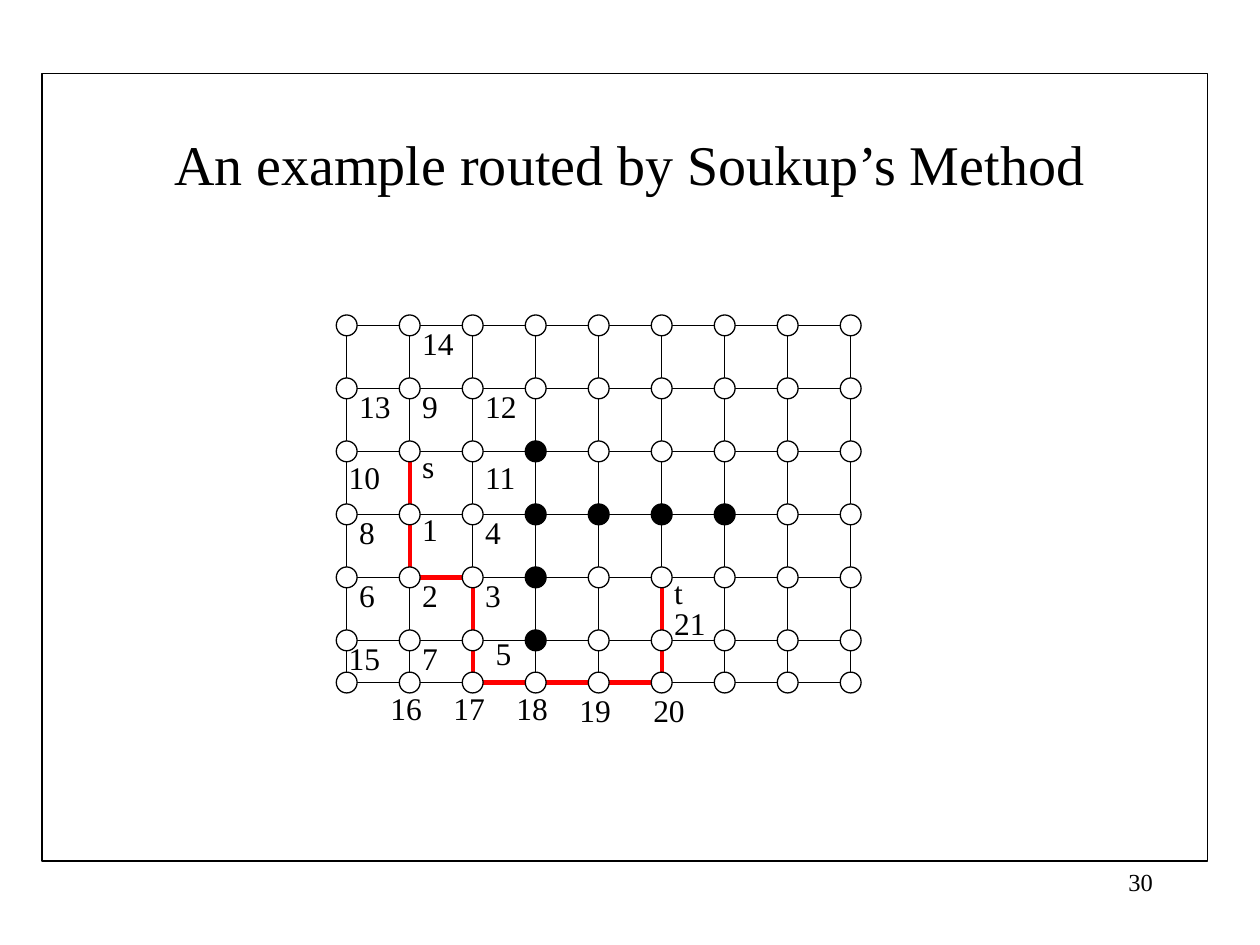
from dataclasses import dataclass
from pptx import Presentation
from pptx.dml.color import RGBColor
from pptx.enum.shapes import MSO_CONNECTOR, MSO_SHAPE
from pptx.enum.text import MSO_ANCHOR, PP_ALIGN
from pptx.oxml.ns import qn
from pptx.util import Cm, Pt
from lxml.etree import SubElement


@dataclass(frozen=True)
class Theme:
    ink: RGBColor = RGBColor(0, 0, 0)
    paper: RGBColor = RGBColor(255, 255, 255)
    route: RGBColor = RGBColor(255, 0, 0)
    font: str = "Times New Roman"
    head: float = 32
    label: float = 18
    small: float = 14
    thin: float = 0.75


COLS = [6.99 + 1.27 * i for i in range(9)]
ROWS = [6.56 + 1.27 * i for i in range(6)] + [13.76]
RAD = 0.21

BLOCKED = {(3, 2), (3, 3), (4, 3), (5, 3), (6, 3), (3, 4), (3, 5)}

# start node, end node, ends held back to the node edge, width
ROUTE = [
    ((2, 6), (5, 6), (1, 0), 3),
    ((2, 4), (1, 4), (1, 1), 3),
    ((2, 4), (2, 6), (0, 1), 2.25),
    ((5, 4), (5, 6), (1, 0), 2.25),
    ((1, 2), (1, 4), (1, 0), 2.25),
]

# text, column, row, then the shift from that node
LABELS = [
    ("14", 1, 0, 0, -0.16),
    ("13", 0, 1, 0, -0.16),
    ("9", 1, 1, 0, -0.16),
    ("12", 2, 1, 0, -0.16),
    ("10", 0, 2, -0.21, 0),
    ("s", 1, 2, 0, -0.21),
    ("11", 2, 2, 0, 0),
    ("8", 0, 3, 0, -0.16),
    ("1", 1, 3, 0, -0.21),
    ("4", 2, 3, 0, -0.16),
    ("6", 0, 4, 0, -0.16),
    ("2", 1, 4, 0, -0.16),
    ("3", 2, 4, 0, -0.16),
    ("t", 5, 4, 0, -0.21),
    ("21", 5, 4, 0, 0.42),
    ("15", 0, 5, -0.21, -0.16),
    ("7", 1, 5, 0, -0.16),
    ("5", 2, 5, 0.21, -0.26),
    ("16", 1, 6, -0.64, 0),
    ("17", 2, 6, -0.64, 0),
    ("18", 3, 6, -0.64, 0),
    ("19", 4, 6, -0.64, 0.04),
    ("20", 5, 6, -0.42, 0.04),
]


class Board:
    """Holds the theme and the current slide; lengths are centimetres."""

    def __init__(self, slide, theme):
        self.slide, self.theme = slide, theme

    def shape(self, kind, x, y, w, h, fill=None):
        item = self.slide.shapes.add_shape(kind, Cm(x), Cm(y), Cm(w), Cm(h))
        item.shadow.inherit = False
        if fill is None:
            item.fill.background()
        else:
            item.fill.solid()
            item.fill.fore_color.rgb = fill
        item.line.color.rgb = self.theme.ink
        item.line.width = Pt(self.theme.thin)

    def line(self, start, end, color=None, width=None):
        ends = [Cm(v) for v in (*start, *end)]
        item = self.slide.shapes.add_connector(MSO_CONNECTOR.STRAIGHT, *ends)
        item.line.color.rgb = color or self.theme.ink
        item.line.width = Pt(width or self.theme.thin)
        props = item._element.find(qn("p:spPr"))
        SubElement(props, qn("a:effectLst"))

    def text(self, words, x, y, w, h, size=None, align=PP_ALIGN.LEFT,
             anchor=MSO_ANCHOR.TOP):
        box = self.slide.shapes.add_textbox(Cm(x), Cm(y), Cm(w), Cm(h))
        frame = box.text_frame
        frame.word_wrap = True
        frame.vertical_anchor = anchor
        para = frame.paragraphs[0]
        para.text = words
        para.alignment = align
        para.font.name = self.theme.font
        para.font.size = Pt(size or self.theme.label)
        para.font.color.rgb = self.theme.ink


def trim(start, end, held):
    """Return both ends in cm, moved in by the node radius where held."""
    a, b = [(COLS[c], ROWS[r]) for c, r in (start, end)]
    gap = sum(abs(q - p) for p, q in zip(a, b))
    step = [(q - p) / gap * RAD for p, q in zip(a, b)]
    return ([p + s * held[0] for p, s in zip(a, step)],
            [q - s * held[1] for q, s in zip(b, step)])


def draw_grid(board):
    left, right, top, base = COLS[0], COLS[-1], ROWS[0], ROWS[-1]
    board.shape(MSO_SHAPE.RECTANGLE, left, top, right - left, base - top)
    for x in COLS[1:-1]:
        board.line((x, top), (x, base))
    for y in ROWS[1:-1]:
        board.line((left, y), (right, y))


def draw_route(board):
    for start, end, held, width in ROUTE:
        board.line(*trim(start, end, held), board.theme.route, width)


def draw_nodes(board):
    for c, x in enumerate(COLS):
        for r, y in enumerate(ROWS):
            fill = board.theme.ink if (c, r) in BLOCKED else board.theme.paper
            board.shape(MSO_SHAPE.OVAL, x - RAD, y - RAD, 2 * RAD, 2 * RAD, fill)


def main():
    deck = Presentation()
    deck.slide_width, deck.slide_height = Cm(25.4), Cm(19.05)
    theme = Theme()
    board = Board(deck.slides.add_slide(deck.slide_layouts[6]), theme)
    board.text("30", 18.2, 17.36, 5.29, 1.27, size=theme.small,
               align=PP_ALIGN.RIGHT)
    board.text("An example routed by Soukup’s Method", 1.9, 1.69, 21.59, 3.18,
               size=theme.head, align=PP_ALIGN.CENTER, anchor=MSO_ANCHOR.MIDDLE)
    board.shape(MSO_SHAPE.RECTANGLE, 0.85, 1.48, 23.5, 15.88)
    draw_grid(board)
    draw_route(board)
    draw_nodes(board)
    for words, c, r, dx, dy in LABELS:
        wide = 1.07 if len(words) == 1 else 1.48
        board.text(words, COLS[c] + dx, ROWS[r] + dy, wide, 1.02)
    deck.save("out.pptx")


if __name__ == "__main__":
    main()
